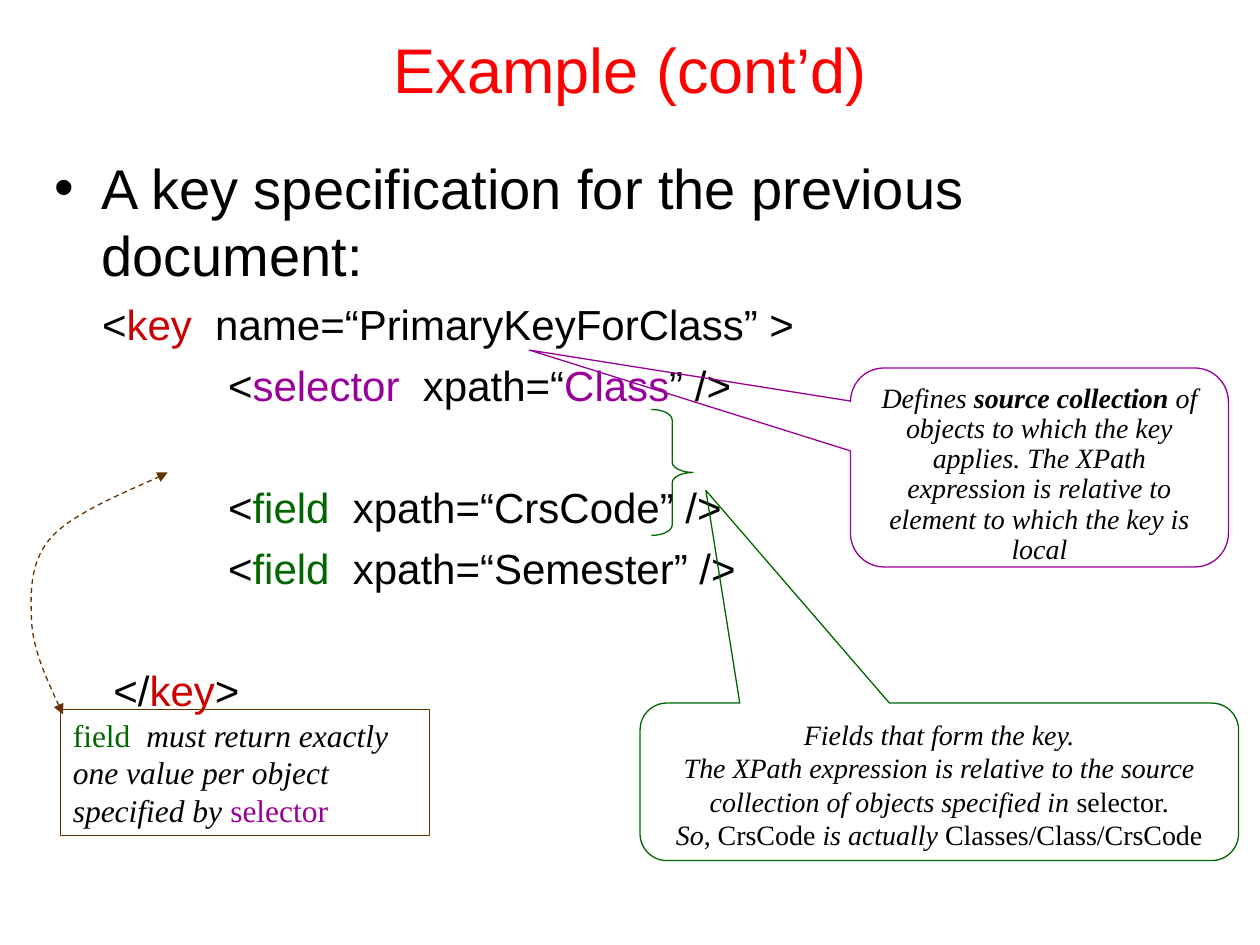
"""Build the slide that explains an XML key specification."""
from dataclasses import dataclass, field

from lxml.etree import SubElement as Sub
from pptx import Presentation
from pptx.dml.color import RGBColor as Rgb
from pptx.enum.dml import MSO_LINE as Dash
from pptx.enum.shapes import MSO_SHAPE as Kind
from pptx.enum.text import MSO_ANCHOR as Anchor, MSO_AUTO_SIZE as Auto, PP_ALIGN as Align
from pptx.oxml.ns import qn
from pptx.util import Inches, Pt

HUE = {"black": "000000", "title": "FF0000", "key": "CC0000", "source": "990099",
       "field": "006600", "brown": "663300"}
SANS, SERIF = "Arial", "Times New Roman"
ITAL = {"italic": True}


@dataclass
class Run:
    text: str
    hue: str = "black"
    form: dict = field(default_factory=dict)


@dataclass
class Line:
    runs: list[Run]
    left: float
    gap: float = 6


@dataclass
class Note:
    kind: Kind
    box: tuple
    hue: str
    paras: list[list[Run]]
    size: float = 16
    align: Align = Align.CENTER
    tip: tuple = ()
    lead: float = 1.0
    fit: Auto = Auto.NONE


def place(shape, box: tuple) -> None:
    """Move and size a shape, in inches."""
    for name, val in zip(("left", "top", "width", "height"), box):
        setattr(shape, name, Inches(val))


def write(para, runs: list[Run], face: str, size: float) -> None:
    """Add formatted runs to a paragraph."""
    for item in runs:
        run = para.add_run()
        run.text = item.text
        form = {"name": face, "size": Pt(size), "bold": False, "italic": False} | item.form
        for name, val in form.items():
            setattr(run.font, name, val)
        run.font.color.rgb = Rgb.from_string(HUE[item.hue])


def paras(frame, count: int) -> list:
    """Give a text frame the wanted number of paragraphs."""
    return [frame.paragraphs[0]] + [frame.add_paragraph() for _ in range(count - 1)]


def outline(shape, hue: str) -> None:
    """Leave a shape unfilled, with a thin coloured line."""
    shape.shadow.inherit = False
    shape.fill.background()
    shape.line.color.rgb = Rgb.from_string(HUE[hue])
    shape.line.width = Pt(0.75)


def draw_code(frame, lines: list[Line]) -> None:
    """Write the indented code lines below the bullet."""
    for line in lines:
        para = frame.add_paragraph()
        para.space_before = Pt(line.gap)
        props = para._p.get_or_add_pPr()
        props.set("marL", str(Inches(line.left)))
        props.set("indent", "0")
        Sub(props, qn("a:buNone"))
        write(para, line.runs, SANS, 24)


def draw_note(shapes, note: Note) -> None:
    """Draw a box or callout with its text."""
    shape = shapes.add_shape(note.kind, *map(Inches, note.box))
    outline(shape, note.hue)
    for i, val in enumerate(note.tip):
        shape.adjustments[i] = val
    frame = shape.text_frame
    form = {"word_wrap": True, "vertical_anchor": Anchor.TOP, "auto_size": note.fit}
    for name, val in form.items():
        setattr(frame, name, val)
    for para, runs in zip(paras(frame, len(note.paras)), note.paras):
        para.alignment = note.align
        para.line_spacing = note.lead
        write(para, runs, SERIF, note.size)


def draw_curve(shapes, start: tuple, rest: list[tuple], hue: str) -> None:
    """Draw a dashed curve with an arrowhead at both ends."""
    pen = shapes.build_freeform(*map(Inches, start), scale=1.0)
    pen.add_line_segments([tuple(map(Inches, pt)) for pt in rest], close=False)
    shape = pen.convert_to_shape()
    outline(shape, hue)
    shape.line.dash_style = Dash.DASH
    edge = shape._element.spPr.find(qn("a:ln"))
    for end in ("a:headEnd", "a:tailEnd"):
        Sub(edge, qn(end), type="triangle")
    track = next(shape._element.iter(qn("a:path")))
    legs = track.findall(qn("a:lnTo"))
    for i in range(0, len(legs), 3):
        bend = Sub(track, qn("a:cubicBezTo"))
        for leg in legs[i:i + 3]:
            bend.append(leg[0])
            track.remove(leg)


CODE = [
    Line([Run("<"), Run("key", "key"), Run("  name=“PrimaryKeyForClass” >")], 0.38),
    Line([Run("<"), Run("selector", "source"), Run("  xpath=“"), Run("Class", "source"),
          Run("” />")], 1.38),
    *[Line([Run("<"), Run("field", "field"), Run(f"  xpath=“{name}” />")], 1.38, gap)
      for name, gap in (("CrsCode", 41), ("Semester", 6))],
    Line([Run("</"), Run("key", "key"), Run(">")], 0.47, 41),
]

NOTES = [
    Note(Kind.ROUNDED_RECTANGULAR_CALLOUT, (6.75, 2.92, 3, 1.58), "source", [[
        Run("Defines ", form=ITAL),
        Run("source collection", form=ITAL | {"bold": True}),
        Run(" of objects to which the key applies. The XPath expression is relative to "
            "element to which the key is local", form=ITAL)]],
        tip=(-1.35, -0.59, 0.17), lead=0.9),
    Note(Kind.ROUNDED_RECTANGULAR_CALLOUT, (5.08, 5.58, 4.75, 1.25), "field", [
        [Run("Fields that form the key.", form=ITAL)],
        [Run("The XPath expression is relative to the source collection of objects "
             "specified in ", form=ITAL), Run("selector.")],
        [Run("So", form=ITAL), Run(", CrsCode "), Run("is actually ", form=ITAL),
         Run("Classes/Class/CrsCode")]],
        tip=(-0.39, -1.85, 0.17)),
    Note(Kind.RECTANGLE, (0.48, 5.63, 2.93, 1), "brown", [[
        Run("field  ", "field"),
        Run("must return exactly one value per object specified by ", form=ITAL),
        Run("selector", "source")]],
        size=18, align=Align.LEFT, fit=Auto.SHAPE_TO_FIT_TEXT),
]


def main() -> None:
    """Build and save the slide."""
    deck = Presentation()
    deck.slide_width, deck.slide_height = Inches(10), Inches(7.5)
    slide = deck.slides.add_slide(deck.slide_layouts[1])
    shapes = slide.shapes

    title, body = shapes.title, slide.placeholders[1]
    place(title, (0.75, 0.25, 8.5, 0.58))
    place(body, (0.33, 1.17, 9.42, 6))
    for shape in (title, body):
        shape.text_frame.auto_size = Auto.NONE
    write(title.text_frame.paragraphs[0], [Run("Example (cont’d)", "title")], SANS, 36)
    head = body.text_frame.paragraphs[0]
    head.space_before = Pt(8)
    write(head, [Run("A key specification for the previous document:")], SANS, 32)
    draw_code(body.text_frame, CODE)

    for note in NOTES:
        draw_note(shapes, note)
    brace = shapes.add_shape(Kind.RIGHT_BRACE, *map(Inches, (5.17, 3.25, 0.33, 1)))
    outline(brace, "field")
    brace.adjustments[0] = 0.25
    draw_curve(shapes, (0.5, 5.67), [
        (0.38, 5.41), (0.26, 5.15), (0.25, 4.92),
        (0.24, 4.68), (0.24, 4.44), (0.42, 4.25),
        (0.6, 4.06), (1.18, 3.83), (1.33, 3.75)], "brown")
    deck.save("out.pptx")


if __name__ == "__main__":
    main()
